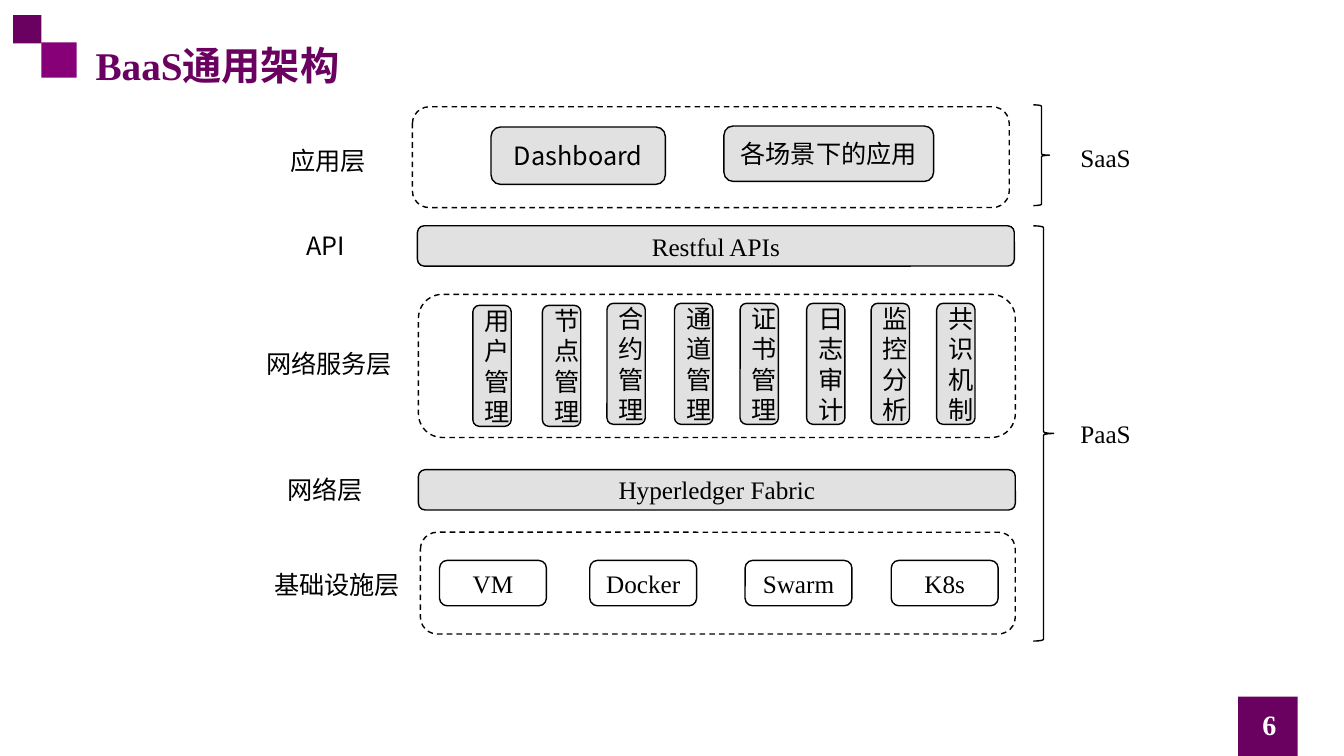
from lxml.etree import SubElement
from pptx import Presentation
from pptx.dml.color import RGBColor
from pptx.enum.dml import MSO_LINE
from pptx.enum.shapes import MSO_SHAPE as Shape
from pptx.enum.text import MSO_ANCHOR as Anchor, PP_ALIGN as Align
from pptx.oxml.ns import qn
from pptx.util import Inches, Pt

PURPLE = RGBColor(0x6A, 0x00, 0x5F)
VIOLET = RGBColor(0x87, 0x00, 0x78)
GRAY = RGBColor(0xE1, 0xE1, 0xE1)
BLACK = RGBColor(0x00, 0x00, 0x00)
WHITE = RGBColor(0xFF, 0xFF, 0xFF)
SERIF = "Times New Roman"
SANS = "Noto Sans CJK SC"

TITLE = "BaaS通用架构"
PAGE_NUMBER = "6"
SQUARES = [
    (0.41, 0.42, 0.35, VIOLET),
    (0.13, 0.15, 0.28, PURPLE),
    (12.28, 6.91, 0.59, PURPLE),
]
LAYER_FRAMES = [
    (4.09, 1.06, 5.92, 1.0),
    (4.15, 2.92, 5.92, 1.42),
    (4.17, 5.28, 5.9, 1.01),
]
LAYER_LABELS = [
    ("应用层", 2.78, 1.39, 0.96),
    ("API", 2.94, 2.24, 0.7),
    ("网络服务层", 2.54, 3.41, 1.48),
    ("网络层", 2.75, 4.66, 0.96),
    ("基础设施层", 2.62, 5.6, 1.48),
]
APPLICATIONS = [
    ("Dashboard", 4.87, 1.26, 1.73, 0.57),
    ("各场景下的应用", 7.18, 1.25, 2.08, 0.55),
]
BARS = [("Restful APIs", 4.14, 2.24), ("Hyperledger Fabric", 4.15, 4.66)]
SERVICES = [
    ("用户管理", 4.69, 3.03),
    ("节点管理", 5.38, 3.03),
    ("合约管理", 6.02, 3.01),
    ("通道管理", 6.69, 3.01),
    ("证书管理", 7.34, 3.01),
    ("日志审计", 8.0, 3.01),
    ("监控分析", 8.64, 3.01),
    ("共识机制", 9.29, 3.01),
]
INFRASTRUCTURE = [("VM", 4.36), ("Docker", 5.85), ("Swarm", 7.39), ("K8s", 8.84)]
BRACES = [
    ("SaaS", 1.36, (10.25, 1.04, 0.16, 1.0)),
    ("PaaS", 4.1, (10.25, 2.24, 0.2, 4.12)),
]

deck = Presentation()
deck.slide_width = Inches(13.33)
deck.slide_height = Inches(7.5)
page = deck.slides.add_slide(deck.slide_layouts[6])


def write(box, text, font=SERIF, size=18, color=BLACK, bold=False,
          align=Align.CENTER, anchor=Anchor.MIDDLE):
    frame = box.text_frame
    frame.text = text
    frame.word_wrap = True
    frame.vertical_anchor = anchor
    para = frame.paragraphs[0]
    para.alignment = align
    if font == SANS:
        para.line_spacing = Pt(size * 1.2)
    span = para.runs[0]
    span.font.name = font
    span.font.size = Pt(size)
    span.font.bold = bold
    span.font.color.rgb = color
    SubElement(span.font._element, qn("a:ea")).set("typeface", SANS)


def add_text(area, text, **style):
    write(page.shapes.add_textbox(*map(Inches, area)), text, **style)


def add_outline(kind, area, fill=None, line=BLACK):
    shape = page.shapes.add_shape(kind, *map(Inches, area))
    shape.shadow.inherit = False
    if fill is None:
        shape.fill.background()
    else:
        shape.fill.solid()
        shape.fill.fore_color.rgb = fill
    if line is None:
        shape.line.fill.background()
    else:
        shape.line.color.rgb = line
        shape.line.width = Pt(1)
    return shape


def add_block(text, area, fill=GRAY, font=SERIF):
    write(add_outline(Shape.ROUNDED_RECTANGLE, area, fill), text, font)


for left, top, side, color in SQUARES:
    add_outline(Shape.RECTANGLE, (left, top, side, side), color, None)
add_text((12.02, 6.99, 1.14, 0.4), PAGE_NUMBER, size=20, color=WHITE, bold=True)
add_text((0.85, 0.36, 2.89, 0.57), TITLE, size=28, color=PURPLE, bold=True,
         align=Align.LEFT)

for area in LAYER_FRAMES:
    frame_shape = add_outline(Shape.ROUNDED_RECTANGLE, area)
    frame_shape.line.dash_style = MSO_LINE.DASH
for text, left, top, width in LAYER_LABELS:
    add_text((left, top, width, 0.4), text, font=SANS, align=Align.LEFT,
             anchor=Anchor.TOP)

for text, *area in APPLICATIONS:
    add_block(text, area, font=SANS)
for text, left, top in BARS:
    add_block(text, (left, top, 5.92, 0.4))
for text, left, top in SERVICES:
    add_block(text, (left, top, 0.38, 1.2), font=SANS)
for text, left in INFRASTRUCTURE:
    add_block(text, (left, 5.56, 1.06, 0.45), fill=None)

for text, top, area in BRACES:
    add_outline(Shape.RIGHT_BRACE, area)
    add_text((10.49, top, 0.95, 0.4), text, anchor=Anchor.TOP)

deck.save("out.pptx")
